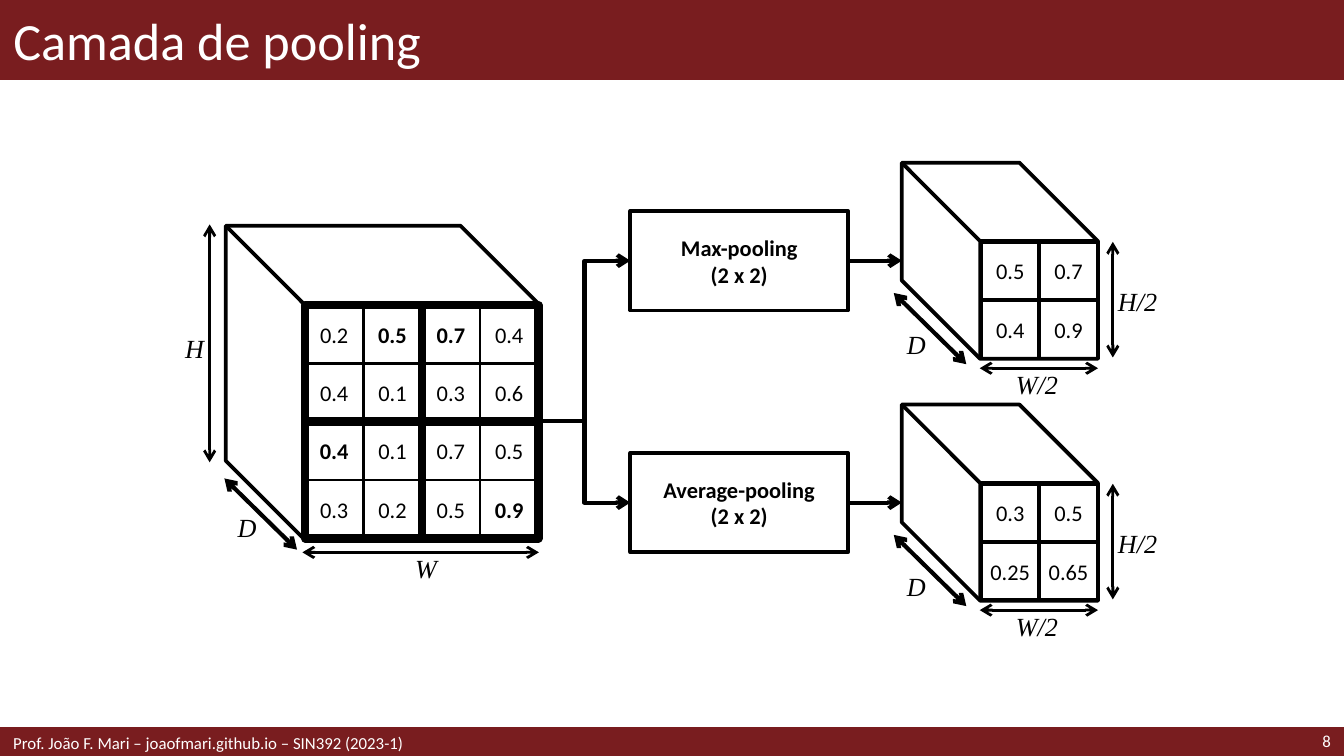
from lxml.etree import SubElement
from pptx import Presentation
from pptx.dml.color import RGBColor
from pptx.enum.shapes import MSO_CONNECTOR, MSO_SHAPE
from pptx.enum.text import MSO_ANCHOR, PP_ALIGN
from pptx.oxml.ns import qn
from pptx.util import Inches, Pt

BLACK, WHITE, WINE = "000000", "FFFFFF", "791D1F"
CELL = 0.434
color = RGBColor.from_string

prs = Presentation()
prs.slide_width, prs.slide_height = Inches(10), Inches(10 * 9 / 16)
slide = prs.slides.add_slide(prs.slide_layouts[5])
shapes = slide.shapes


def place(kind, left, top, width, height, text="", weight=0, fill=None,
          ink=BLACK, align=PP_ALIGN.CENTER, margin=0.1, wrap=True, **font_format):
    area = [Inches(v) for v in (left, top, width, height)]
    shape = shapes.add_shape(kind, *area) if kind else shapes.add_textbox(*area)
    if kind:
        shape.shadow.inherit = False
    if fill:
        shape.fill.solid()
        shape.fill.fore_color.rgb = color(fill)
    else:
        shape.fill.background()
    if weight:
        shape.line.color.rgb = color(fill or BLACK)
        shape.line.width = Pt(weight)
    if text:
        frame = shape.text_frame
        frame_format = {"text": text, "word_wrap": wrap,
                        "vertical_anchor": MSO_ANCHOR.MIDDLE,
                        "margin_left": Inches(margin), "margin_right": Inches(margin)}
        for name, value in frame_format.items():
            setattr(frame, name, value)
        for paragraph in frame.paragraphs:
            paragraph.alignment = align
            paragraph.font.color.rgb = color(ink)
            for name, value in ({"name": "Calibri", "size": Pt(12)} | font_format).items():
                setattr(paragraph.font, name, value)
    return shape


def arrow(x1, y1, x2, y2, weight=1.5, ends=("headEnd", "tailEnd"),
          kind=MSO_CONNECTOR.STRAIGHT):
    connector = shapes.add_connector(kind, *[Inches(v) for v in (x1, y1, x2, y2)])
    connector.line.color.rgb = color(BLACK)
    connector.line.width = Pt(weight)
    for end in ends:
        SubElement(connector.get_or_add_ln(), qn(f"a:{end}"), type="arrow")
    SubElement(connector.element.spPr, qn("a:effectLst"))
    return connector


title = shapes.title
title_format = {"left": 0, "top": 0, "width": Inches(10), "height": Inches(0.59)}
for name, value in title_format.items():
    setattr(title, name, value)
title.fill.solid()
title.fill.fore_color.rgb = color(WINE)
title.line.color.rgb = color(WINE)
title.line.width = Pt(1)
title.text_frame.text = "Camada de pooling"
title.text_frame.vertical_anchor = MSO_ANCHOR.MIDDLE
heading = title.text_frame.paragraphs[0]
heading.alignment = PP_ALIGN.LEFT
heading.font.color.rgb = color(WHITE)
for name, value in {"name": "Calibri", "size": Pt(28)}.items():
    setattr(heading.font, name, value)

place(MSO_SHAPE.RECTANGLE, 0, 5.42, 10, 0.21, weight=2, fill=WINE)
place(None, 8.86, 5.41, 1.14, 0.21, "8", ink=WHITE, align=PP_ALIGN.RIGHT, size=Pt(9))
place(None, 0, 5.42, 6.89, 0.21,
      "Prof. João F. Mari – joaofmari.github.io – SIN392 (2023-1)",
      ink=WHITE, align=PP_ALIGN.LEFT, size=Pt(9))

input_cube = place(MSO_SHAPE.CUBE, 1.68, 1.68, 2.33, 2.33, weight=2)
input_cube.rotation = 270
input_rows = [["0.2", "0.5", "0.7", "0.4"],
              ["0.4", "0.1", "0.3", "0.6"],
              ["0.4", "0.1", "0.7", "0.5"],
              ["0.3", "0.2", "0.5", "0.9"]]
maxima = {(0, 1), (0, 2), (2, 0), (3, 3)}
for r, row in enumerate(input_rows):
    for c, value in enumerate(row):
        place(MSO_SHAPE.RECTANGLE, 2.27 + c * CELL, 2.27 + r * CELL, CELL, CELL,
              value, 1.5, margin=0.04, bold=(r, c) in maxima)

labels = [("H", 1.28, 2.42, 0.34), ("D", 1.67, 3.75, 0.33), ("W", 2.99, 4.06, 0.38)]
branches = [("Max-pooling", 1.21, [["0.5", "0.7"], ["0.4", "0.9"]]),
            ("Average-pooling", 3.01, [["0.3", "0.5"], ["0.25", "0.65"]])]
for operation, top, output_rows in branches:
    middle = top + 0.73
    step = place(MSO_SHAPE.RECTANGLE, 4.69, middle - 0.37, 1.62, 0.74,
                 f"{operation}\n(2 x 2)", 2, bold=True)
    output_cube = place(MSO_SHAPE.CUBE, 6.71, top, 1.46, 1.46, weight=2)
    output_cube.rotation = 270
    output_cube.adjustments[0] = 0.4
    for r, row in enumerate(output_rows):
        for c, value in enumerate(row):
            place(MSO_SHAPE.RECTANGLE, 7.3 + c * CELL, top + 0.59 + r * CELL,
                  CELL, CELL, value, 2, margin=0.04)
    into_step = arrow(4.01, 3.13, 4.69, middle, 2.25, ["tailEnd"], MSO_CONNECTOR.ELBOW)
    into_step.end_connect(step, 1)
    out_of_step = arrow(6.31, middle, 6.71, middle, 2.25, ["tailEnd"])
    out_of_step.begin_connect(step, 3)
    arrow(6.65, top + 0.97, 7.19, top + 1.5, 2.25)
    arrow(7.29, top + 1.53, 8.17, top + 1.53)
    arrow(8.28, top + 0.59, 8.28, top + 1.45)
    labels += [("W/2", 7.46, top + 1.48, 0.59), ("H/2", 8.22, top + 0.86, 0.54),
               ("D", 6.65, top + 1.18, 0.33)]

for r in range(2):
    for c in range(2):
        place(MSO_SHAPE.RECTANGLE, 2.27 + c * 2 * CELL, 2.27 + r * 2 * CELL,
              2 * CELL, 2 * CELL, weight=4.5)

arrow(1.67, 3.56, 2.21, 4.09, 2.25)
arrow(2.25, 4.11, 4.01, 4.11)
arrow(1.56, 1.67, 1.56, 3.44)
for text, left, top, width in labels:
    place(None, left, top, width, 0.34, text, wrap=False, align=PP_ALIGN.LEFT,
          name="Times New Roman", size=Pt(14), italic=True)

prs.save("out.pptx")
